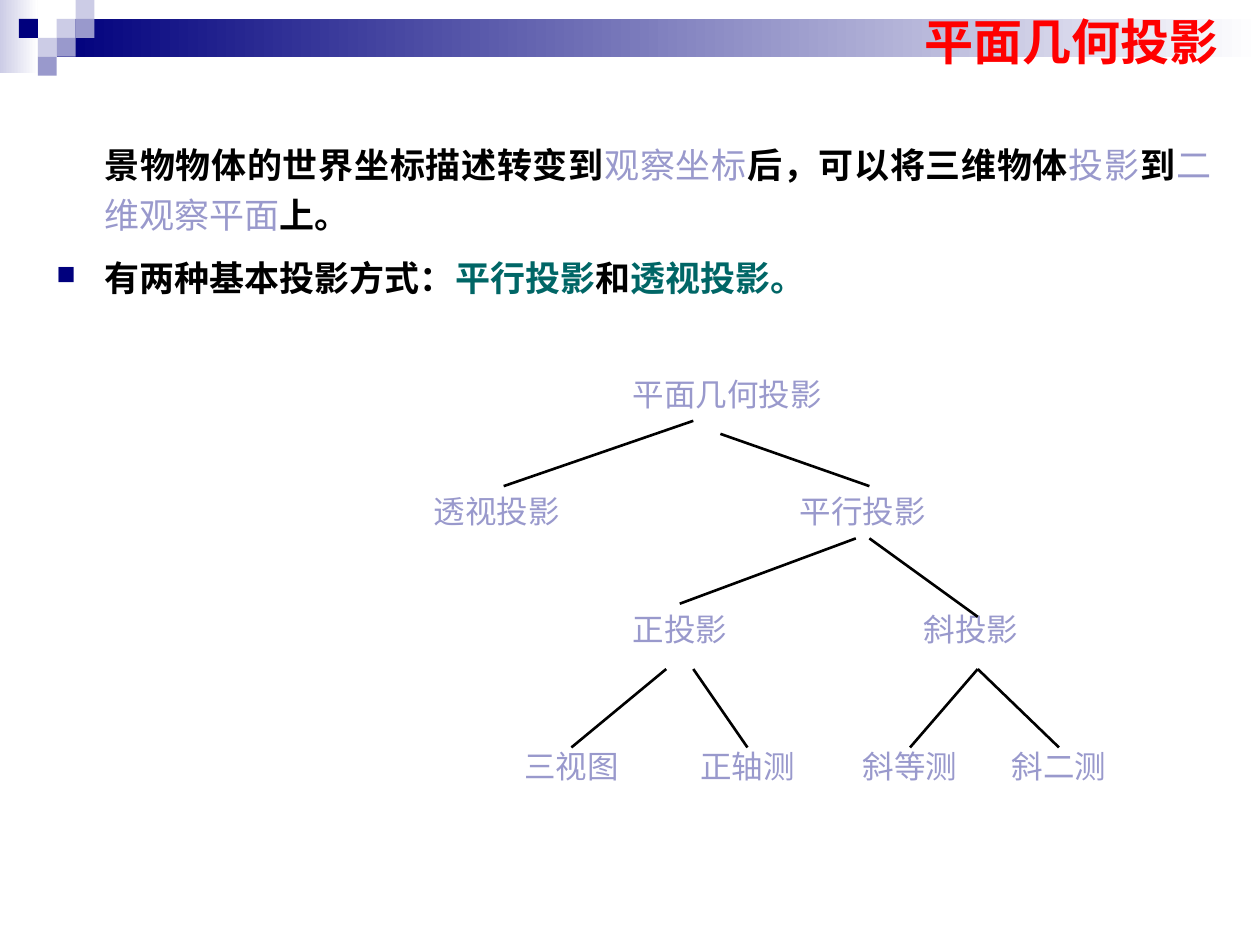
from lxml import etree
from pptx import Presentation
from pptx import util as u
from pptx.dml.color import RGBColor
from pptx.enum import shapes, text
from pptx.oxml import ns

NAVY = RGBColor(0x00, 0x00, 0x7D)
LILAC = RGBColor(0x99, 0x99, 0xCC)
PALE = RGBColor(0xCC, 0xCC, 0xE6)
TEAL = RGBColor(0x00, 0x66, 0x66)
RED = RGBColor(0xFF, 0x00, 0x00)
BLACK = RGBColor(0x00, 0x00, 0x00)
WHITE = RGBColor(0xFF, 0xFF, 0xFF)

WIDTH, HEIGHT = u.Inches(10), u.Inches(7.5)
TREE_COLS, TREE_ROWS, NODE_ROWS = 56, 32.4, 3.85

MOSAIC = [(3, 1, PALE), (4, 0, PALE), (4, 1, LILAC), (2, 2, PALE),
          (1, 1, NAVY), (3, 2, LILAC), (2, 3, LILAC)]

STRONG = {"bold": True, "color": BLACK}
TERM = {"bold": False, "color": LILAC}
KIND = {"bold": True, "color": TEAL}
PARAGRAPHS = [
    (False, [("景物物体的世界坐标描述转变到", STRONG), ("观察坐标", TERM),
             ("后，可以将三维物体", STRONG), ("投影", TERM), ("到", STRONG),
             ("二维观察平面", TERM), ("上。", STRONG)]),
    (True, [("有两种基本投影方式：", STRONG), ("平行投影", KIND),
            ("和", STRONG), ("透视投影。", KIND)]),
]

NODES = [("平面几何投影", 14, 0, 23), ("透视投影", 0, 9, 17), ("平行投影", 27, 9, 17),
         ("斜投影", 37, 18, 13), ("正投影", 15, 18, 14), ("三视图", 7, 28.5, 14),
         ("正轴测", 20, 28.5, 14), ("斜等测", 32, 28.5, 14), ("斜二测", 44, 28.5, 12)]
BRANCHES = [(23, 4, 9, 9), (25, 5, 36, 9), (35, 13, 22, 18), (36, 13, 44, 19),
            (21, 23, 14, 29), (23, 23, 27, 29), (44, 23, 39, 29), (44, 23, 50, 29)]


def share(left, top, width, height):
    """Turn shares of the slide into a box of lengths."""
    return [int(n) for n in (left * WIDTH, top * HEIGHT, width * WIDTH, height * HEIGHT)]


def apply(target, **values):
    """Set each named attribute on the target."""
    for name, value in values.items():
        setattr(target, name, value)


def add_run(p, words, size, name, color, bold=False):
    """Add one formatted run to a paragraph."""
    r = p.add_run()
    r.text = words
    apply(r.font, size=u.Pt(size), name=name, bold=bold)
    r.font.color.rgb = color


def add_block(s, box, color, fade=False):
    """Add a borderless rectangle, solid or fading to white."""
    sp = s.shapes.add_shape(shapes.MSO_SHAPE.RECTANGLE, *[int(n) for n in box])
    sp.shadow.inherit = False
    sp.line.fill.background()
    if fade:
        sp.fill.gradient()
        sp.fill.gradient_angle = 0
        for stop, position, tint in zip(sp.fill.gradient_stops, (0, 1), (color, WHITE)):
            stop.position = position
            stop.color.rgb = tint
    else:
        sp.fill.solid()
        sp.fill.fore_color.rgb = color


def add_header(s, box):
    """Draw the fading band and its mosaic on a grid of four rows."""
    left, top, width, height = box
    cell = height / 4
    add_block(s, (left, top, 2 * cell, 3.87 * cell), PALE, fade=True)
    add_block(s, (left + 3 * cell, top + cell, width - 3 * cell, 2 * cell), NAVY, fade=True)
    for col, row, color in MOSAIC:
        add_block(s, (left + col * cell, top + row * cell, cell, cell), color)


def add_title(s, box):
    """Place the title placeholder in front of the header."""
    sp = s.shapes.title
    s.shapes._spTree.append(sp._element)
    apply(sp, **dict(zip(("left", "top", "width", "height"), box)))
    tf = sp.text_frame
    apply(tf, vertical_anchor=text.MSO_ANCHOR.MIDDLE, word_wrap=True,
          auto_size=text.MSO_AUTO_SIZE.NONE)
    p = tf.paragraphs[0]
    p.alignment = text.PP_ALIGN.LEFT
    add_run(p, "平面几何投影", 28, "Arial", RED, bold=True)


def add_bullet(pPr):
    """Give a paragraph a small navy square bullet."""
    color = etree.SubElement(pPr, ns.qn("a:buClr"))
    etree.SubElement(color, ns.qn("a:srgbClr"), val=str(NAVY))
    etree.SubElement(pPr, ns.qn("a:buSzPct"), val="75000")
    etree.SubElement(pPr, ns.qn("a:buChar"), char="■")


def add_body(s, box):
    """Write the introduction with its hanging indent."""
    tf = s.shapes.add_textbox(*box).text_frame
    tf.word_wrap = True
    hang = u.Inches(0.38)
    for i, (bulleted, runs) in enumerate(PARAGRAPHS):
        p = tf.add_paragraph() if i else tf.paragraphs[0]
        apply(p, alignment=text.PP_ALIGN.JUSTIFY, line_spacing=1.2,
              space_before=u.Pt(5 if i else 0), space_after=u.Pt(2.5))
        pPr = p._p.get_or_add_pPr()
        pPr.set("marL", str(hang))
        pPr.set("indent", str(-hang if bulleted else 0))
        if bulleted:
            add_bullet(pPr)
        for words, style in runs:
            add_run(p, words, 20, "Arial", **style)


def add_tree(s, box):
    """Draw the classification tree on its own grid."""
    left, top, width, height = box
    col, row = width / TREE_COLS, height / TREE_ROWS

    def at(x, y):
        """Give the slide point of a grid point."""
        return int(left + x * col), int(top + y * row)

    for words, x, y, cols in NODES:
        sp = s.shapes.add_textbox(*at(x, y), int(cols * col), int(NODE_ROWS * row))
        sp.text_frame.word_wrap = True
        p = sp.text_frame.paragraphs[0]
        p.alignment = text.PP_ALIGN.CENTER
        add_run(p, words, 18, "Times New Roman", LILAC)
    for x1, y1, x2, y2 in BRANCHES:
        line = s.shapes.add_connector(shapes.MSO_CONNECTOR.STRAIGHT, *at(x1, y1), *at(x2, y2))
        line.line.width = u.Pt(1.5)
        line.line.color.rgb = BLACK
        etree.SubElement(line._element.spPr, ns.qn("a:effectLst"))


def main():
    """Build the slide and save it."""
    prs = Presentation()
    apply(prs, slide_width=WIDTH, slide_height=HEIGHT)
    s = prs.slides.add_slide(prs.slide_layouts.get_by_name("Title Only"))
    add_header(s, share(0, 0, 1, 0.08))
    add_title(s, share(0.724, 0.005, 0.264, 0.077))
    add_body(s, share(0.035, 0.136, 0.936, 0.196))
    add_tree(s, share(0.303, 0.39, 0.602, 0.448))
    prs.save("out.pptx")


if __name__ == "__main__":
    main()
